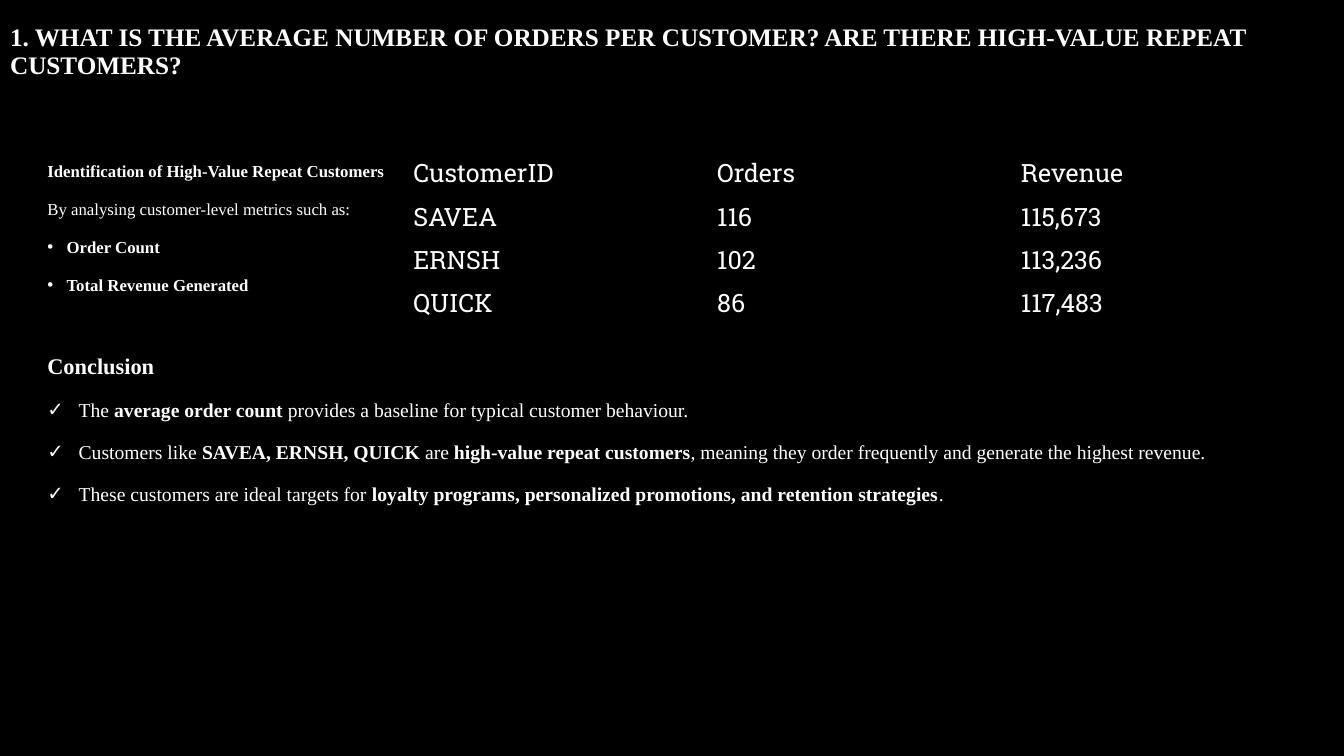
from dataclasses import dataclass

from lxml.etree import SubElement as sub
from pptx import Presentation
from pptx.dml.color import RGBColor as RGB
from pptx.enum.text import MSO_ANCHOR as Anchor, MSO_AUTO_SIZE as Fit, PP_ALIGN as Align
from pptx.oxml.ns import qn
from pptx.util import Inches, Pt


@dataclass(frozen=True)
class Theme:
    back: RGB = RGB(0, 0, 0)
    ink: RGB = RGB(255, 255, 255)
    serif: str = "Times New Roman"
    slab: str = "Roboto Slab"
    head: int = 18
    small: int = 12
    mid: int = 14
    large: int = 16
    grid: str = "{2D5ABB26-0587-4C30-8999-92F81FD0307C}"


THEME = Theme()
TITLE = ("1. WHAT IS THE AVERAGE NUMBER OF ORDERS PER CUSTOMER? "
         "ARE THERE HIGH-VALUE REPEAT CUSTOMERS?")
NOTES = [
    ("**Identification of High-Value Repeat Customers**", THEME.small, "", 0, 10),
    ("By analysing customer-level metrics such as:", THEME.small, "", 0, 10),
    ("**Order Count**", THEME.small, "•", 0.19, 10),
    ("**Total Revenue Generated**", THEME.small, "•", 0.19, 10),
    ("**Conclusion**", THEME.large, "", 0, 37),
    ("The **average order count** provides a baseline for typical customer behaviour.",
     THEME.mid, "✓", 0.31, 10),
    ("Customers like **SAVEA, ERNSH, QUICK** are **high-value repeat customers**, "
     "meaning they order frequently and generate the highest revenue.",
     THEME.mid, "✓", 0.31, 10),
    ("These customers are ideal targets for **loyalty programs, personalized promotions, "
     "and retention strategies**.", THEME.mid, "✓", 0.31, 10),
]
ROWS = [
    ("CustomerID", "Orders", "Revenue"),
    ("SAVEA", "116", "115,673"),
    ("ERNSH", "102", "113,236"),
    ("QUICK", "86", "117,483"),
]


def style(item, values):
    for name, value in values.items():
        setattr(item, name, value)


def place(shape, box):
    style(shape, dict(zip(("left", "top", "width", "height"), map(Inches, box))))


def write(par, text, size, font):
    for i, part in enumerate(text.split("**")):
        if part:
            run = par.add_run()
            run.text = part
            style(run.font, {"name": font, "size": Pt(size), "bold": i % 2 == 1})
            run.font.color.rgb = THEME.ink


def mark(par, sign, indent):
    props = par._p.get_or_add_pPr()
    props.set("marL", str(Inches(indent)))
    props.set("indent", str(-Inches(indent)))
    sub(props, qn("a:buClr")).append(props.makeelement(qn("a:srgbClr"), {"val": str(THEME.ink)}))
    sub(props, qn("a:buChar"), {"char": sign})


def add_title(slide, box):
    title = slide.shapes.title
    place(title, box)
    frame = title.text_frame
    style(frame, {"word_wrap": True, "auto_size": Fit.NONE, "vertical_anchor": Anchor.BOTTOM})
    par = frame.paragraphs[0]
    style(par, {"alignment": Align.LEFT, "line_spacing": 0.9})
    write(par, f"**{TITLE}**", THEME.head, THEME.serif)


def add_notes(slide, box):
    body = slide.placeholders[1]
    place(body, box)
    frame = body.text_frame
    style(frame, {"word_wrap": True, "auto_size": Fit.NONE, "vertical_anchor": Anchor.TOP})
    for i, (text, size, sign, indent, gap) in enumerate(NOTES):
        par = frame.add_paragraph() if i else frame.paragraphs[0]
        style(par, {"alignment": Align.LEFT, "line_spacing": 1.2, "space_before": Pt(gap)})
        if sign:
            mark(par, sign, indent)
        write(par, text, size, THEME.serif)


def add_grid(slide, box):
    frame = slide.shapes.add_table(len(ROWS), len(ROWS[0]), *map(Inches, box))
    table = frame.table
    style(table, {"first_row": False, "horz_banding": False})
    table._tbl.tblPr.find(qn("a:tableStyleId")).text = THEME.grid
    for r, row in enumerate(ROWS):
        for c, text in enumerate(row):
            cell = table.cell(r, c)
            cell.fill.background()
            cell.vertical_anchor = Anchor.MIDDLE
            write(cell.text_frame.paragraphs[0], text, THEME.head, THEME.slab)


def main():
    deck = Presentation()
    style(deck, {"slide_width": Inches(13.33), "slide_height": Inches(7.5)})
    slide = deck.slides.add_slide(deck.slide_layouts[0])
    fill = slide.background.fill
    fill.solid()
    fill.fore_color.rgb = THEME.back
    add_title(slide, (0, 0.13, 13.04, 0.71))
    add_notes(slide, (0.37, 1.5, 12.96, 4.94))
    add_grid(slide, (4, 1.5, 9.04, 1.6))
    deck.save("out.pptx")


if __name__ == "__main__":
    main()
